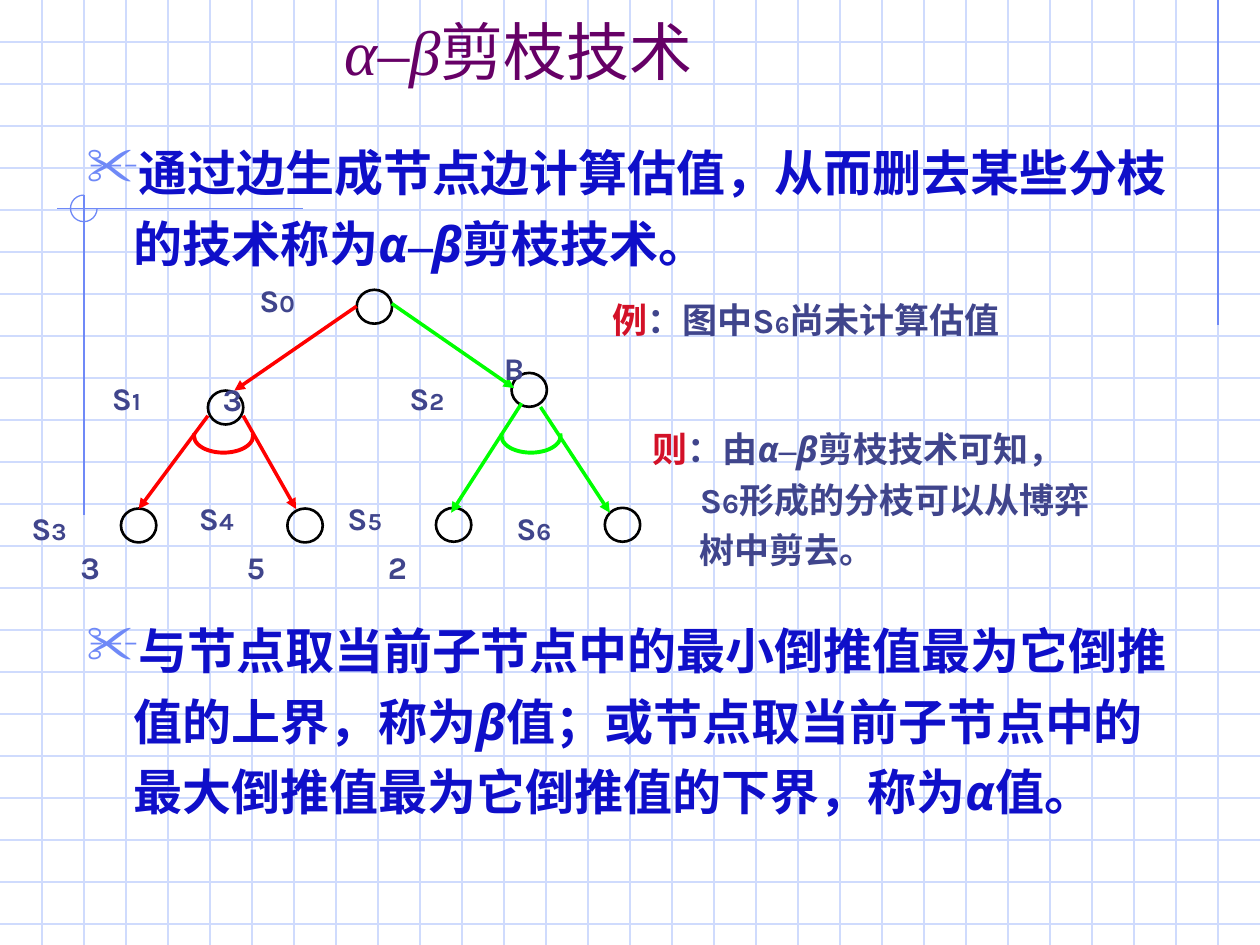
from lxml.etree import SubElement
from pptx import Presentation
from pptx.dml.color import RGBColor
from pptx.enum.shapes import MSO_CONNECTOR, MSO_SHAPE
from pptx.enum.text import MSO_ANCHOR
from pptx.oxml.ns import qn
from pptx.util import Pt

W, H, GRID = 720, 540, 24
PALE, PERI, RED, GREEN = "CFDBFD", "6F89F7", "FF0000", "00FF00"
BLUE, SLATE, CRIMSON, PURPLE = "0F0FC9", "40458C", "D31128", "660066"
SANS, SERIF = "Karla", "Times New Roman"
ALPHA, DASH, BETA = ("α", {"italic": True}), ("–", {"name": SERIF}), ("β", {"italic": True})


def color(value):
    return RGBColor.from_string(value)


def add_line(s, x1, y1, x2, y2, line, width=0.75, arrow=False):
    c = s.shapes.add_connector(MSO_CONNECTOR.STRAIGHT, Pt(x1), Pt(y1), Pt(x2), Pt(y2))
    c.line.color.rgb = color(line)
    c.line.width = Pt(width)
    if arrow:
        SubElement(c.line._get_or_add_ln(), qn("a:tailEnd"), type="triangle")
    SubElement(c._element.spPr, qn("a:effectLst"))


def add_outline(s, kind, x, y, w, h, line, width):
    sp = s.shapes.add_shape(kind, Pt(x), Pt(y), Pt(w), Pt(h))
    sp.shadow.inherit = False
    sp.fill.background()
    sp.line.color.rgb = color(line)
    sp.line.width = Pt(width)
    return sp


def add_arc(s, x, y, w, h, start, end, line, width):
    sp = add_outline(s, MSO_SHAPE.ARC, x, y, w, h, line, width)
    # Arc angles are stored in 60000ths of a degree, adjustments in 100000ths
    sp.adjustments[0] = start * 0.6
    sp.adjustments[1] = end * 0.6


def add_text(s, x, y, w, h, runs, size, fill, name=SANS, bold=True, spacing=None,
             hanging=0, bullet=None, anchor=MSO_ANCHOR.TOP):
    tf = s.shapes.add_textbox(Pt(x), Pt(y), Pt(w), Pt(h)).text_frame
    tf.word_wrap = True
    tf.vertical_anchor = anchor
    p = tf.paragraphs[0]
    if spacing:
        p.line_spacing = spacing
    pPr = p._p.get_or_add_pPr()
    if hanging:
        pPr.set("marL", str(Pt(hanging)))
        pPr.set("indent", str(-Pt(hanging)))
    if bullet:
        SubElement(SubElement(pPr, qn("a:buClr")), qn("a:srgbClr"), val=PERI)
        SubElement(pPr, qn("a:buSzPct"), val="110000")
        SubElement(pPr, qn("a:buChar"), char=bullet)
    base = {"name": name, "size": size, "bold": bold, "italic": False, "fill": fill}
    for text, changes in runs:
        style = {**base, **changes}
        r = p.add_run()
        r.text = text
        r.font.name = style["name"]
        r.font.size = Pt(style["size"])
        r.font.bold = style["bold"]
        r.font.italic = style["italic"]
        r.font.color.rgb = color(style["fill"])


def add_background(s):
    for y in range(GRID, H, GRID):
        add_line(s, 0, y, W, y, PALE)
    for x in range(GRID, W, GRID):
        add_line(s, x, 0, x, H, PALE)
    # Margin lines and corner circle
    add_line(s, 696, 0, 696, 186, PERI)
    add_line(s, 173, 119.3, 32.5, 119.3, PERI)
    add_line(s, 48, 111.5, 48, 294.5, PERI)
    add_arc(s, 40.3, 111.5, 15.2, 15.2, 0, 270, PERI, 0.75)


def add_tree(s):
    # Nodes
    for x, y in [(203.8, 165.6), (118.8, 223.2), (292.3, 213.1), (69.1, 290.6),
                 (164.2, 290.6), (249.1, 290.2), (345.6, 290.2)]:
        add_outline(s, MSO_SHAPE.OVAL, x, y, 20.2, 19.4, "000000", 1.5)

    # Branches
    for ends, line in [((203.8, 175, 133.9, 223.2), RED),
                       ((118.8, 237.6, 79.2, 290.9), RED),
                       ((139, 237.6, 169.2, 290.9), RED),
                       ((223.9, 173.5, 293.8, 221.8), GREEN),
                       ((308.9, 232.6, 348.5, 293), GREEN),
                       ((298.1, 230.4, 257.8, 293), GREEN)]:
        add_line(s, *ends, line, 2, arrow=True)

    # "And" arcs
    for x, line in [(110.9, RED), (286.6, GREEN)]:
        add_arc(s, x, 239.7, 33.8, 19, 355, 185, line, 2.25)

    # Values
    for text, x, y in [("5", 133.9, 309.5), ("3", 38.9, 309.5), ("2", 214.6, 309.5),
                       ("B", 280.8, 196), ("3", 120.2, 213.8)]:
        add_text(s, x, y, 80, 28.8, [(text, {})], 18, SLATE)

    # Node names
    for i, (x, y) in enumerate([(141.1, 157), (56.9, 213.1), (226.8, 213.1), (10.8, 287.3),
                                (106.6, 281.5), (191.5, 281.5), (288, 287.3)]):
        add_text(s, x, y, 86.4, 28.8, [("S", {}), (str(i), {"size": 14})], 18, SLATE)


def main():
    prs = Presentation()
    prs.slide_width, prs.slide_height = Pt(W), Pt(H)
    s = prs.slides.add_slide(prs.slide_layouts[6])
    add_background(s)

    # Title
    add_text(s, 190, 0, 266.4, 54, [ALPHA, DASH, BETA, ("剪枝技术", {})], 36, PURPLE,
             name=SERIF, bold=False, anchor=MSO_ANCHOR.BOTTOM)

    # Definitions
    definitions = [
        (71.3, 90, [("通过边生成节点边计算估值，从而删去某些分枝的技术称为", {}),
                    ALPHA, DASH, BETA, ("剪枝技术。", {})]),
        (344.3, 130, [("与节点取当前子节点中的最小倒推值最为它倒推值的上界，称为", {}), BETA,
                      ("值；或节点取当前子节点中的最大倒推值最为它倒推值的下界，称为", {}),
                      ALPHA, ("值。", {})]),
    ]
    for y, h, runs in definitions:
        add_text(s, 42.5, y, 635.8, h, runs, 28, BLUE, spacing=1.2, hanging=27, bullet="✂")

    add_tree(s)

    # Example and conclusion
    add_text(s, 342.7, 167, 266.4, 31.7,
             [("例", {"fill": CRIMSON}), ("：图中S", {}), ("6", {"size": 14}),
              ("尚未计算估值", {})], 20, SLATE)
    add_text(s, 365.8, 236.2, 266.4, 93.6,
             [("则", {"fill": CRIMSON}), ("：由", {}), ALPHA, DASH, BETA,
              ("剪枝技术可知，S", {}), ("6", {"size": 16}),
              ("形成的分枝可以从博弈树中剪去。", {})], 20, SLATE, spacing=1.2, hanging=27)

    prs.save("out.pptx")


if __name__ == "__main__":
    main()
